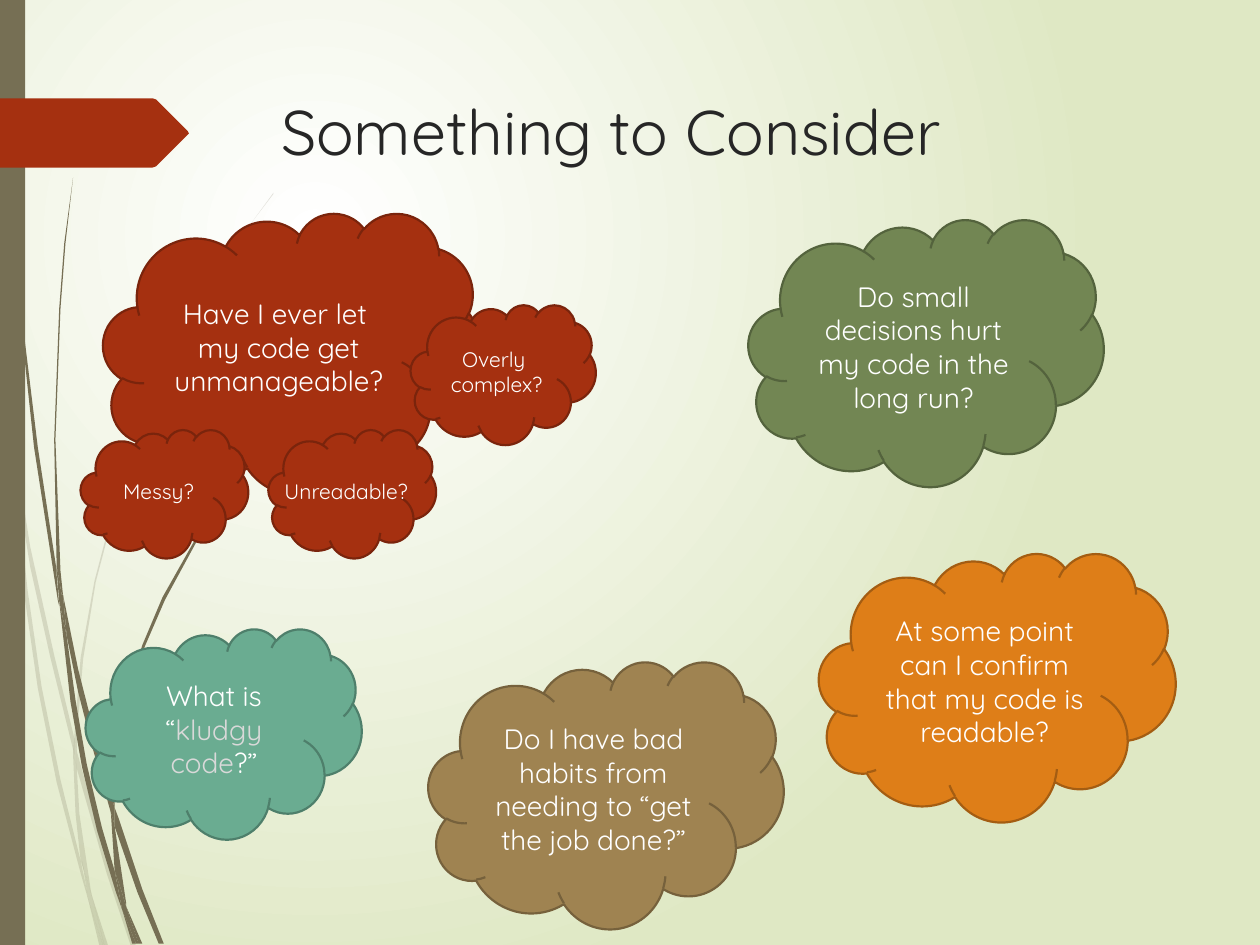
from dataclasses import dataclass
from typing import NamedTuple

import pptx
import pptx.dml.color
import pptx.enum.shapes
import pptx.enum.text
import pptx.oxml.ns
import pptx.util
from lxml import etree

Pt = pptx.util.Pt
qn = pptx.oxml.ns.qn
Kind = pptx.enum.shapes.MSO_SHAPE
Align = pptx.enum.text.PP_ALIGN
Anchor = pptx.enum.text.MSO_ANCHOR


class Tone(NamedTuple):
    fill: str
    edge: str


@dataclass(frozen=True)
class Theme:
    font: str = "Quicksand"
    head: float = 36
    body: float = 16
    small: float = 12
    ink: str = "262626"
    white: str = "FFFFFF"
    muted: str = "D9D9D9"
    glow: str = "DFE8C4"
    stem: str = "766F54"
    red: Tone = Tone("A53010", "7A240C")
    teal: Tone = Tone("6AAC91", "4E7F6B")
    orange: Tone = Tone("DE7E18", "A45D12")
    tan: Tone = Tone("9F8351", "76613C")
    green: Tone = Tone("728653", "54633D")


THEME = Theme()


class Run(NamedTuple):
    text: str
    color: str = THEME.white


@dataclass(frozen=True)
class Cloud:
    left: float
    top: float
    width: float
    height: float
    tone: Tone
    runs: tuple[Run, ...]
    size: float = THEME.body
    wrap: bool = True
    inset: float = 7.2


CLOUDS = (
    Cloud(59, 121.7, 216, 160.6, THEME.red,
          (Run("Have I ever let \nmy code get\n unmanageable? "),), wrap=False),
    Cloud(49, 359.3, 157.7, 120.2, THEME.teal,
          (Run("What is “"), Run("kludgy code", THEME.muted), Run("?”"))),
    Cloud(468, 316.1, 203.8, 153.4, THEME.orange,
          (Run("At some point can I confirm that my code is readable?"),)),
    Cloud(244.8, 378, 203, 152.6, THEME.tan,
          (Run("Do I have bad habits from needing to “get the job done?”"),)),
    Cloud(427.7, 125.3, 203, 152.6, THEME.green,
          (Run("Do small decisions hurt my code in the long run?"),)),
    Cloud(46.1, 245.5, 95.8, 73.4, THEME.red,
          (Run("Messy?"),), THEME.small, inset=0.72),
    Cloud(153.4, 245.5, 95.8, 73.4, THEME.red,
          (Run("Unreadable?"),), THEME.small, False, 0.72),
    Cloud(234.7, 174.2, 105.8, 79.9, THEME.red,
          (Run("Overly \ncomplex?"),), THEME.small, False),
)

UNIT = 0.72
PALE = (
    "8,350 6,322 0,282 0,299 7,344",
    "40,522 59,599 59,586 43,520 24,434 10,345 12,376 24,450",
    "64,607 61,596 61,610 85,694 104,751 108,751 88,692",
    "83,751 86,751 73,711",
    "64,683 48,619 33,545 22,469 12,376 8,350 19,470 30,546 45,621 64,693 70,714 69,707",
    "58,599 60,646 64,683 67,692 73,711 72,706 63,646 61,610 61,608",
    "61,584 66,523 76,462 91,405 111,349 134,296 159,245 187,198 201,175 217,154 "
    "217,153 201,175 186,197 158,244 133,295 110,348 90,404 75,461 64,522 59,584 59,586 61,596",
    "70,714 79,751 82,751",
    "61,608 61,610 61,596 59,586 58,599",
    "67,692 65,683 69,707 70,714 82,751 83,751 73,711",
)
DARK = (
    "5,110 14,233 27,355 46,477 47,481 45,457 45,453 30,355 15,232 6,109 4,48 3,0 2,0 3,48",
    "73,592 88,645 88,633 88,631 77,590 62,531 50,472 53,505 62,549",
    "94,649 91,641 91,656 109,708 126,749 130,749 113,706",
    "91,691 81,657 69,607 60,556 53,505 47,477 56,557 65,608 77,659 92,708 97,722 96,717",
    "50,472 48,453 44,349 48,245 52,193 58,141 51,193 47,245 43,349 45,449 49,472",
    "110,749 113,749 100,719",
    "47,477 53,505 50,472 49,472 45,449 45,453",
    "91,633 95,592 103,552 115,513 131,476 169,406 191,374 203,359 216,344 "
    "215,344 203,358 191,373 168,405 129,474 113,512 101,551 92,591 88,631 91,641",
    "97,722 105,749 108,749",
    "88,645 91,691 96,706 100,719 100,716 91,656 90,651",
    "88,645 90,651 91,656 91,641 88,631 88,633",
    "96,706 91,691 96,717 97,722 108,749 110,749 100,719",
)
ARROW = "149,107 124,132 121,133 0,133 0,78 121,78 124,79 149,104 150,106"


def rgb(code: str) -> pptx.dml.color.RGBColor:
    return pptx.dml.color.RGBColor.from_string(code)


def paint(shape, color: str) -> None:
    shape.shadow.inherit = False
    shape.fill.solid()
    shape.fill.fore_color.rgb = rgb(color)
    shape.line.fill.background()


def trace(slide, points: str, color: str, alpha: int = 100) -> None:
    spots = [tuple(map(int, pair.split(","))) for pair in points.split()]
    pen = slide.shapes.build_freeform(*spots[0], scale=Pt(UNIT))
    pen.add_line_segments(spots[1:], close=True)
    shape = pen.convert_to_shape()
    paint(shape, color)
    if alpha < 100:
        tint = shape.element.spPr.find(qn("a:solidFill"))[0]
        etree.SubElement(tint, qn("a:alpha")).set("val", str(alpha * 1000))


def write(para, run: Run, size: float) -> None:
    for step, line in enumerate(run.text.split("\n")):
        if step:
            para.add_line_break()
        part = para.add_run()
        part.text = line
        part.font.name = THEME.font
        part.font.size = Pt(size)
        part.font.color.rgb = rgb(run.color)


def puff(slide, cloud: Cloud) -> None:
    shape = slide.shapes.add_shape(
        Kind.CLOUD, Pt(cloud.left), Pt(cloud.top), Pt(cloud.width), Pt(cloud.height))
    paint(shape, cloud.tone.fill)
    shape.line.color.rgb = rgb(cloud.tone.edge)
    shape.line.width = Pt(1.25)
    frame = shape.text_frame
    frame.word_wrap = cloud.wrap
    frame.vertical_anchor = Anchor.MIDDLE
    frame.margin_left = frame.margin_right = Pt(cloud.inset)
    para = frame.paragraphs[0]
    para.alignment = Align.CENTER
    for run in cloud.runs:
        write(para, run, cloud.size)


def shade(slide) -> None:
    fill = slide.background.fill
    fill.gradient()
    for stop, color, spot in zip(fill.gradient_stops, (THEME.white, THEME.glow), (0, 1)):
        stop.color.rgb = rgb(color)
        stop.position = spot
    grad = next(slide.element.iter(qn("a:gradFill")))
    grad.remove(grad.find(qn("a:lin")))
    ring = etree.SubElement(grad, qn("a:path"), path="circle")
    etree.SubElement(ring, qn("a:fillToRect"), l="50000", t="50000", r="100000", b="100000")


def head(slide, text: str) -> None:
    title = slide.shapes.title
    title.left, title.top, title.width, title.height = map(Pt, (153.4, 49, 519.1, 100.8))
    frame = title.text_frame
    frame.auto_size = pptx.enum.text.MSO_AUTO_SIZE.NONE
    frame.word_wrap = True
    frame.vertical_anchor = Anchor.TOP
    frame.paragraphs[0].alignment = Align.LEFT
    write(frame.paragraphs[0], Run(text, THEME.ink), THEME.head)


def main() -> None:
    deck = pptx.Presentation()
    deck.slide_width, deck.slide_height = Pt(720), Pt(540)
    slide = deck.slides.add_slide(deck.slide_layouts[5])
    shade(slide)
    for points in PALE:
        trace(slide, points, THEME.stem, 20)
    for points in DARK:
        trace(slide, points, THEME.stem)
    bar = slide.shapes.add_shape(Kind.RECTANGLE, 0, 0, Pt(14.4), deck.slide_height)
    paint(bar, THEME.stem)
    trace(slide, ARROW, THEME.red.fill)
    head(slide, "Something to Consider")
    for cloud in CLOUDS:
        puff(slide, cloud)
    deck.save("out.pptx")


if __name__ == "__main__":
    main()
